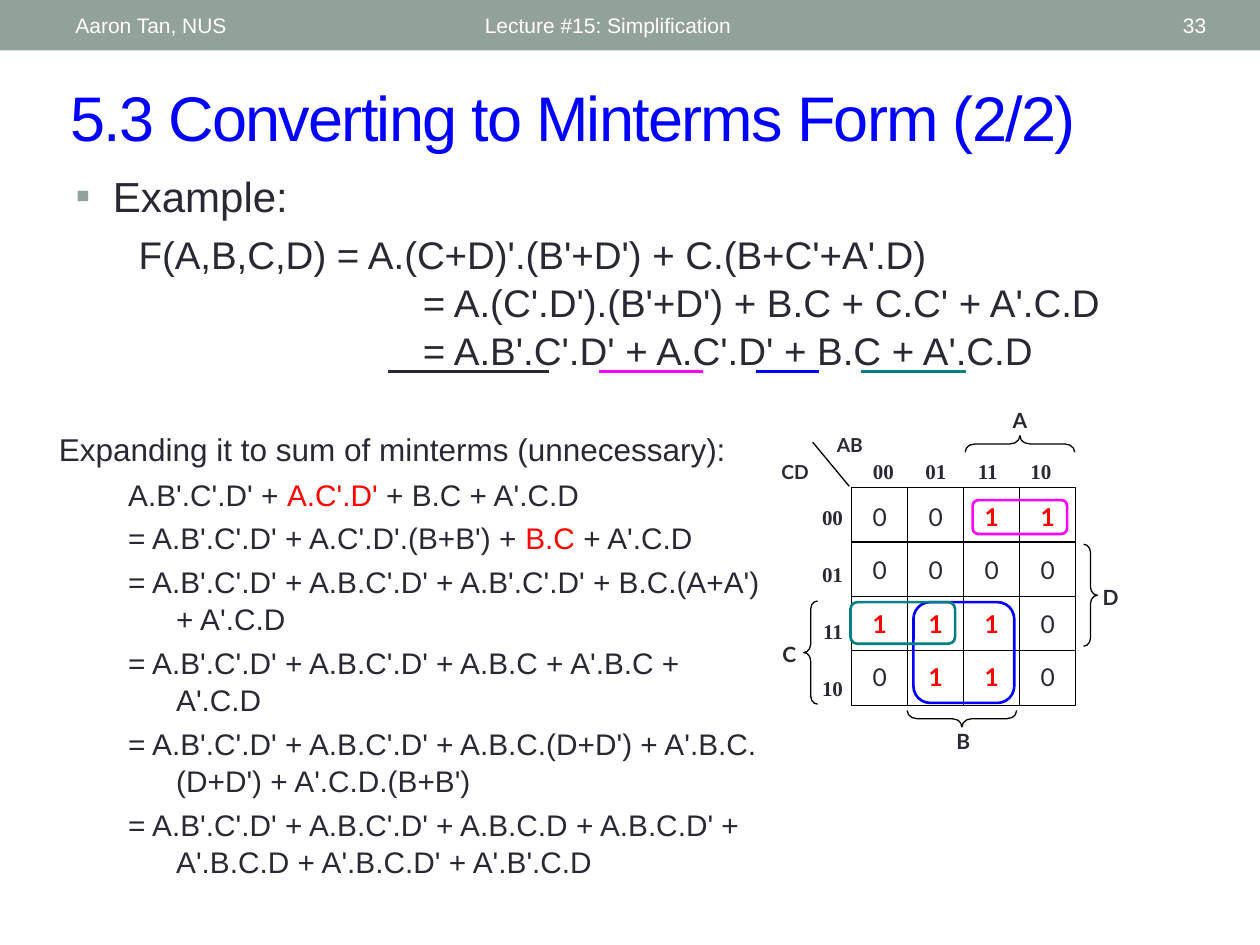
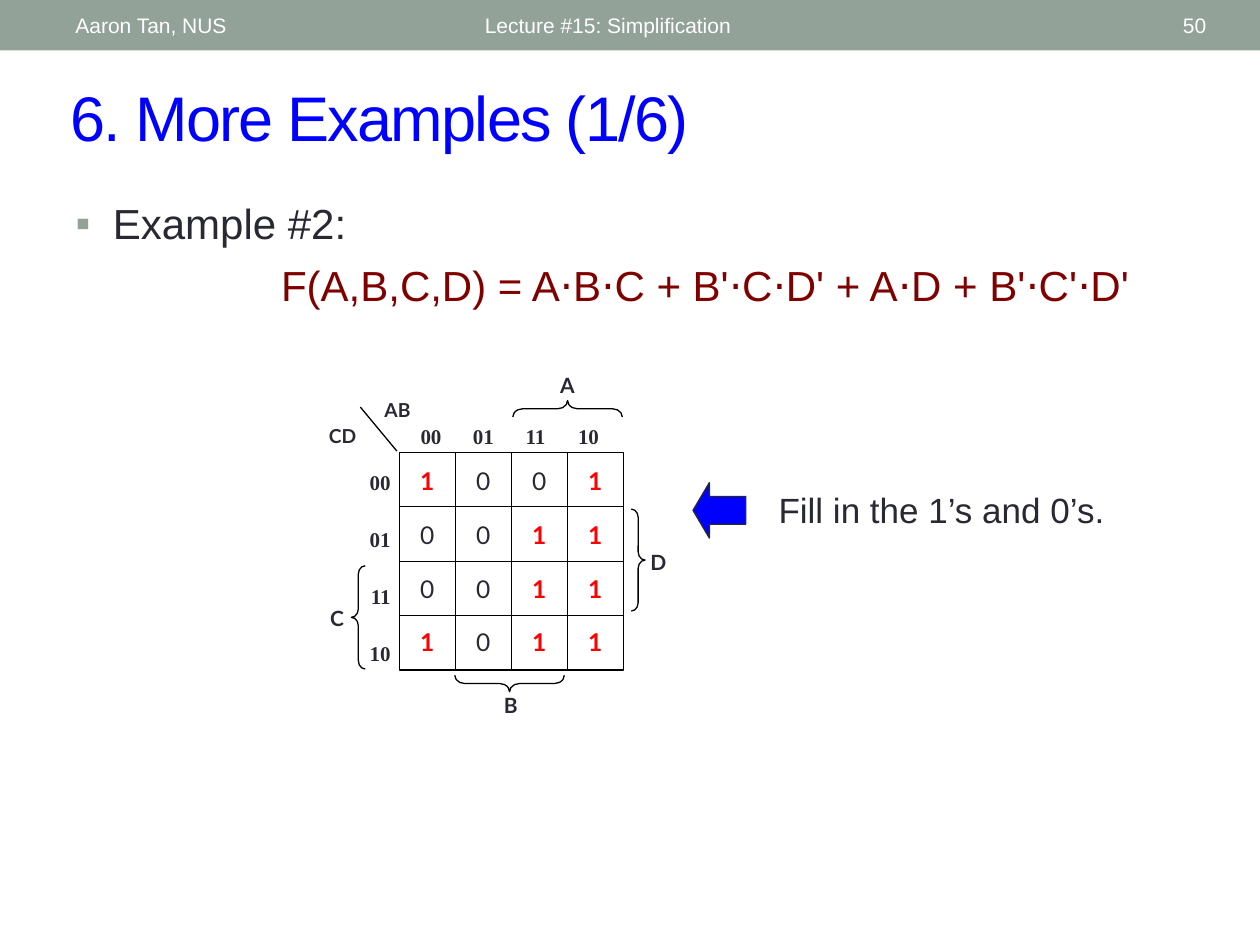
from lxml.etree import SubElement
from pptx import Presentation
from pptx.dml.color import RGBColor
from pptx.enum.shapes import MSO_CONNECTOR as Connector, MSO_SHAPE as Shape
from pptx.enum.text import MSO_ANCHOR as Anchor, MSO_AUTO_SIZE as AutoSize, PP_ALIGN as Align
from pptx.oxml.ns import qn
from pptx.util import Pt

SAGE = RGBColor(0x93, 0xA2, 0x99)
INK = RGBColor(0x29, 0x29, 0x34)
WHITE = RGBColor(0xFF, 0xFF, 0xFF)
BLACK = RGBColor(0x00, 0x00, 0x00)
BLUE = RGBColor(0x00, 0x00, 0xFF)
RED = RGBColor(0xFF, 0x00, 0x00)
MAROON = RGBColor(0x80, 0x00, 0x00)
MAGENTA = RGBColor(0xFF, 0x00, 0xFF)
TEAL = RGBColor(0x00, 0x80, 0x80)

SANS, LABEL, SERIF = "Arial", "Lato", "Times New Roman"
CELL_WIDTH, CELL_HEIGHT = 32, 31.1
LIST_SPACING = 1.05

EXPANSION = [
    ("A.B'.C'.D' + ", "A.C'.D'", " + B.C + A'.C.D"),
    ("= A.B'.C'.D' + A.C'.D'.(B+B') + ", "B.C", " + A'.C.D"),
    ("= A.B'.C'.D' + A.B.C'.D' + A.B'.C'.D' + B.C.(A+A') + A'.C.D",),
    ("= A.B'.C'.D' + A.B.C'.D' + A.B.C + A'.B.C + A'.C.D",),
    ("= A.B'.C'.D' + A.B.C'.D' + A.B.C.(D+D') + A'.B.C.(D+D') + A'.C.D.(B+B')",),
    ("= A.B'.C'.D' + A.B.C'.D' + A.B.C.D + A.B.C.D' + A'.B.C.D + A'.B.C.D' + A'.B'.C.D",),
]


def style(para, size, color=INK, name=SANS, bold=False, align=Align.LEFT):
    para.alignment = align
    font = para.font
    font.size, font.name, font.bold = Pt(size), name, bold
    font.color.rgb = color


def indent(para, left, first=0, bullet=None):
    props = para._p.get_or_add_pPr()
    props.set("marL", str(Pt(left)))
    props.set("indent", str(Pt(first)))
    if bullet:
        color = SubElement(props, qn("a:buClr"))
        SubElement(color, qn("a:srgbClr"), val=str(SAGE))
        SubElement(props, qn("a:buChar"), char=bullet)
    else:
        SubElement(props, qn("a:buNone"))


def set_tabs(para, stops):
    tabs = SubElement(para._p.get_or_add_pPr(), qn("a:tabLst"))
    for stop in stops:
        SubElement(tabs, qn("a:tab"), pos=str(Pt(stop)), algn="l")


def move(shape, left, top, width, height):
    shape.left, shape.top = Pt(left), Pt(top)
    shape.width, shape.height = Pt(width), Pt(height)


def add_text(shapes, left, top, width, height, text="", size=12, anchor=Anchor.TOP, **look):
    box = shapes.add_textbox(Pt(left), Pt(top), Pt(width), Pt(height))
    frame = box.text_frame
    frame.word_wrap = True
    frame.vertical_anchor = anchor
    frame.text = text
    for para in frame.paragraphs:
        style(para, size, **look)
    return frame


def add_line(shapes, start, end, color=BLACK, weight=0.75):
    line = shapes.add_connector(Connector.STRAIGHT, *(Pt(value) for value in start + end))
    line.line.color.rgb = color
    line.line.width = Pt(weight)
    SubElement(line.element.spPr, qn("a:effectLst"))


def add_shape(shapes, kind, left, top, width, height, fill=None, line=None, weight=0.75):
    shape = shapes.add_shape(kind, Pt(left), Pt(top), Pt(width), Pt(height))
    shape.shadow.inherit = False
    if fill is None:
        shape.fill.background()
    else:
        shape.fill.solid()
        shape.fill.fore_color.rgb = fill
    if line is None:
        shape.line.fill.background()
    else:
        shape.line.color.rgb = line
        shape.line.width = Pt(weight)
    return shape


def add_header(page, number):
    add_shape(page.shapes, Shape.RECTANGLE, 0, 0, 720, 28.8, fill=SAGE)
    for left, width, text, align in (
        (36, 228, "Aaron Tan, NUS", Align.LEFT),
        (270, 324, "Lecture #15: Simplification", Align.LEFT),
        (628, 68.4, number, Align.RIGHT),
    ):
        add_text(page.shapes, left, 1.4, width, 26, text, anchor=Anchor.MIDDLE,
                 color=WHITE, align=align)


def add_page(deck, title, number):
    page = deck.slides.add_slide(deck.slide_layouts[1])
    add_header(page, number)
    heading = page.shapes.title
    move(heading, 33.1, 41, 653, 50.4)
    heading.text = title
    frame = heading.text_frame
    frame.auto_size = AutoSize.NONE
    frame.vertical_anchor = Anchor.MIDDLE
    para = frame.paragraphs[0]
    style(para, 36, BLUE)
    para._p.pPr.find(qn("a:defRPr")).set("spc", "-100")
    return page


def fill_body(page, top, height, heading, formulas, size, color=INK):
    body = page.placeholders[1]
    move(body, 36, top, 648, height)
    frame = body.text_frame
    frame.auto_size = AutoSize.NONE
    frame.vertical_anchor = Anchor.TOP
    para = frame.paragraphs[0]
    para.text = heading
    indent(para, 21.3, -21.3, "▪")
    style(para, 24)
    para.line_spacing, para.space_before = LIST_SPACING, Pt(0)
    for left, gap, text in formulas:
        para = frame.add_paragraph()
        para.text = text
        indent(para, left)
        style(para, size, color)
        para.line_spacing, para.space_before = LIST_SPACING, Pt(gap)


def add_grid(shapes, left, top):
    width, height = 4 * CELL_WIDTH, 4 * CELL_HEIGHT
    add_shape(shapes, Shape.RECTANGLE, left, top, width, height, line=BLACK)
    for step in range(1, 4):
        x, y = left + step * CELL_WIDTH, top + step * CELL_HEIGHT
        add_line(shapes, (x, top), (x, top + height))
        add_line(shapes, (left, y), (left + width, y))


def add_map_labels(shapes, left, top):
    add_line(shapes, (left - 1.4, top - 0.7), (left - 22.3, top - 25.9))
    for text, x, y, width, size in (
        ("CD", -54.7, -19.4, 44.6, 11),
        ("AB", -19.4, -34.6, 36.7, 11),
        ("A", 84.2, -49, 23.8, 12),
        ("B", 51.8, 133.9, 23.8, 12),
        ("C", -47.5, 84.2, 23.8, 12),
        ("D", 136.1, 51.8, 23.8, 12),
    ):
        add_text(shapes, left + x, top + y, width, 21, text, size,
                 name=LABEL, bold=True, align=Align.CENTER)
    for kind, x, y, width, height, turn in (
        (Shape.LEFT_BRACE, 91.4, -56.2, 9.4, 62.6, 90),
        (Shape.LEFT_BRACE, 58.3, 100.8, 9.4, 62.6, 270),
        (Shape.LEFT_BRACE, -27.4, 64.8, 7.9, 59, 0),
        (Shape.RIGHT_BRACE, 132.5, 32.4, 7.9, 58.3, 0),
    ):
        brace = add_shape(shapes, kind, left + x, top + y, width, height, line=BLACK)
        brace.adjustments[0] = 0.6
        brace.rotation = turn
    columns = add_text(shapes, left + 5, top - 20.2, 120, 25)
    para = columns.paragraphs[0]
    para.text = "00\t01\t11\t10"
    set_tabs(para, (30, 60, 90))
    style(para, 12, name=SERIF, bold=True)
    rows = add_text(shapes, left - 26, top + 6, 28.1, 129, "00\n01\n11\n10",
                    name=SERIF, bold=True, align=Align.RIGHT)
    for para in rows.paragraphs:
        para.space_after = Pt(18.3)


def add_karnaugh_map(page, left, top, values):
    shapes = page.shapes.add_group_shape().shapes
    add_grid(shapes, left, top)
    add_map_labels(shapes, left, top)
    for row, digits in enumerate(values):
        for column, digit in enumerate(digits):
            one = digit == "1"
            add_text(shapes, left + column * CELL_WIDTH, top + 4.5 + row * 30.6,
                     CELL_WIDTH, 25, digit, 14, name=LABEL, bold=one,
                     color=RED if one else INK, align=Align.CENTER)


def add_loops(page, left, top):
    for color, x, y, width, height in (
        (BLUE, 35.3, 65.5, 57.6, 57.6),
        (TEAL, -0.7, 65.5, 59.8, 23.8),
        (MAGENTA, 69.1, 7.2, 54, 19.4),
    ):
        add_shape(page.shapes, Shape.ROUNDED_RECTANGLE, left + x, top + y,
                  width, height, line=color, weight=1.5)


def add_underlines(page, y):
    for color, start, end in (
        (INK, 222, 314), (MAGENTA, 342, 402), (BLUE, 432, 468), (TEAL, 492, 552),
    ):
        add_line(page.shapes, (start, y), (end, y), color, 1.5)


def add_expansion(page, left, top):
    add_text(page.shapes, left, top, 399, 29,
             "Expanding it to sum of minterms (unnecessary):", 18)
    frame = add_text(page.shapes, left + 39.6, top + 26, 378, 246)
    for number, parts in enumerate(EXPANSION):
        para = frame.add_paragraph() if number else frame.paragraphs[0]
        for position, text in enumerate(parts):
            span = para.add_run()
            span.text = text
            if position == 1:
                span.font.color.rgb = RED
        indent(para, 27.4, -27.4)
        style(para, 17)
        para.line_spacing = LIST_SPACING
        para.space_before = Pt(3.4 if number else 0)


def add_callout(page, left, top):
    shapes = page.shapes.add_group_shape().shapes
    arrow = add_shape(shapes, Shape.LEFT_ARROW, left, top, 30.2, 31.7, BLUE, INK)
    arrow.adjustments[1] = 0.31
    add_text(shapes, left + 41.8, top, 207.4, 31.7, "Fill in the 1’s and 0’s.", 20)


def build_minterms_page(deck):
    page = add_page(deck, "5.3 Converting to Minterms Form (2/2)", "33")
    fill_body(page, 92.2, 386.6, "Example:", [
        (36, 4.4, "F(A,B,C,D) = A.(C+D)'.(B'+D') + C.(B+C'+A'.D)"),
        (198.5, 0, "= A.(C'.D').(B'+D') + B.C + C.C' + A'.C.D"),
        (198.5, 0, "= A.B'.C'.D' + A.C'.D' + B.C + A'.C.D"),
    ], 22)
    add_underlines(page, 212.4)
    add_expansion(page, 26.6, 241.9)
    left, top = 486.7, 278.6
    add_karnaugh_map(page, left, top, ("0011", "0000", "1110", "0110"))
    add_loops(page, left, top)


def build_examples_page(deck):
    page = add_page(deck, "6. More Examples (1/6)", "50")
    fill_body(page, 108, 97.2, "Example #2:", [
        (117.4, 4.8, "F(A,B,C,D) = A⋅B⋅C + B'⋅C⋅D' + A⋅D + B'⋅C'⋅D'"),
    ], 24, MAROON)
    add_karnaugh_map(page, 228.2, 258.5, ("1001", "0011", "0011", "1011"))
    add_callout(page, 396, 275.8)


def main():
    deck = Presentation()
    deck.slide_width, deck.slide_height = Pt(720), Pt(540)
    build_minterms_page(deck)
    build_examples_page(deck)
    deck.save("out.pptx")


if __name__ == "__main__":
    main()
